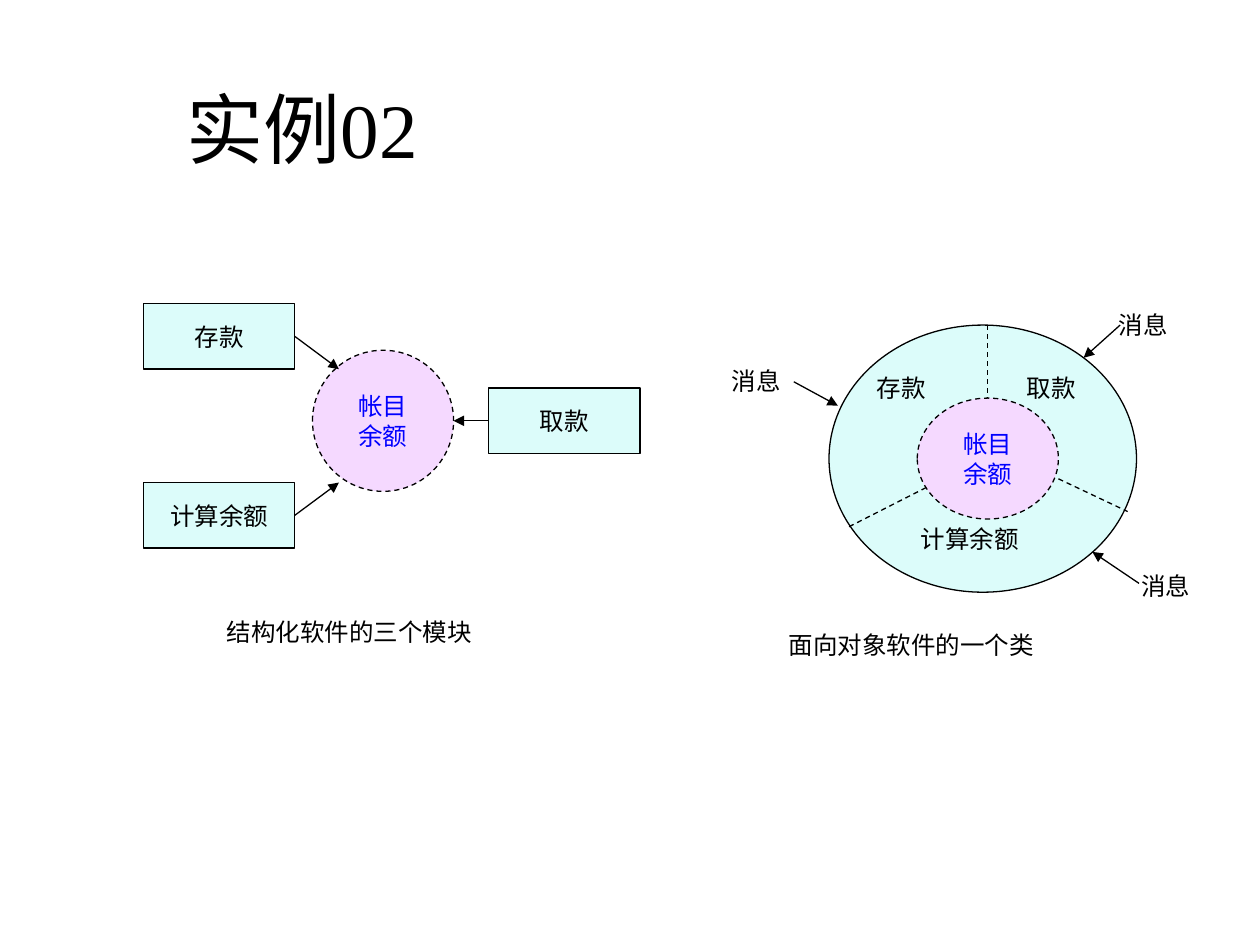
import pptx
import pptx.util
from lxml import etree
from pptx.dml.color import RGBColor
from pptx.enum.dml import MSO_LINE
from pptx.enum.shapes import MSO_CONNECTOR, MSO_SHAPE
from pptx.enum.text import MSO_ANCHOR, MSO_AUTO_SIZE, PP_ALIGN
from pptx.oxml.ns import qn
from pptx.util import Inches

SERIF, SANS = "Times New Roman", "Noto Sans CJK SC"
BLACK, BLUE, AQUA, LILAC = "000000", "0000FF", "DCFCFA", "F5D9FF"

TITLE = "实例02"
BALANCE = ["帐目", "余额"]

# module: left, top, side the arrow leaves from, arrow tip
MODULE_SIZE = (1.2, 0.52)
MODULES = [
    ("存款", 1.14, 2.41, 3, (2.69, 2.93)),
    ("计算余额", 1.14, 3.83, 3, (2.69, 3.83)),
    ("取款", 3.88, 3.08, 1, (3.6, 3.34)),
]
# text, left, top, width, font
LABELS = [
    ("结构化软件的三个模块", 1.7, 4.85, 2.15, SANS),
    ("面向对象软件的一个类", 6.16, 4.95, 2.15, SANS),
    ("存款", 6.86, 2.91, 0.59, SERIF),
    ("取款", 8.05, 2.91, 0.59, SERIF),
    ("计算余额", 7.21, 4.11, 0.98, SERIF),
    ("消息", 5.71, 2.86, 0.59, SERIF),
    ("消息", 8.78, 2.41, 0.59, SERIF),
    ("消息", 8.96, 4.48, 0.59, SERIF),
]
CLASS_DIVIDERS = [
    ((7.35, 3.87), (6.72, 4.19)),
    ((8.4, 3.8), (8.95, 4.06)),
    ((7.84, 2.58), (7.84, 3.16)),
]
MESSAGE_ARROWS = [
    ((6.3, 3.03), (6.65, 3.22)),
    ((8.89, 2.58), (8.6, 2.84)),
    ((9.04, 4.63), (8.67, 4.38)),
]


def rgb(color):
    return RGBColor.from_string(color)


def write(shape, lines, size=14, font=SERIF, color=BLACK, align=PP_ALIGN.LEFT,
          anchor=MSO_ANCHOR.TOP, wrap=False):
    tf = shape.text_frame
    tf.word_wrap = wrap
    tf.vertical_anchor = anchor
    for i, line in enumerate(lines):
        p = tf.paragraphs[0] if i == 0 else tf.add_paragraph()
        p.alignment = align
        r = p.add_run()
        r.text = line
        r.font.size = pptx.util.Pt(size)
        r.font.name = font
        r.font.color.rgb = rgb(color)
        etree.SubElement(r.font._element, qn("a:ea"), typeface=SANS)


def outline(line, dashed):
    line.color.rgb = rgb(BLACK)
    line.width = pptx.util.Pt(0.75)
    if dashed:
        line.dash_style = MSO_LINE.DASH


def add_box(s, kind, box, fill, lines=(), color=BLACK, dashed=False):
    sp = s.shapes.add_shape(kind, *map(Inches, box))
    sp.shadow.inherit = False
    sp.fill.solid()
    sp.fill.fore_color.rgb = rgb(fill)
    outline(sp.line, dashed)
    write(sp, lines, color=color, align=PP_ALIGN.CENTER, anchor=MSO_ANCHOR.MIDDLE)
    return sp


def add_line(s, start, end, dashed=False, arrow=False):
    c = s.shapes.add_connector(MSO_CONNECTOR.STRAIGHT, *map(Inches, start + end))
    outline(c.line, dashed)
    if arrow:
        etree.SubElement(c.line._get_or_add_ln(), qn("a:tailEnd"), type="triangle")
    etree.SubElement(c._element.spPr, qn("a:effectLst"))
    return c


def main():
    prs = pptx.Presentation()
    prs.slide_width, prs.slide_height = Inches(10), Inches(7.5)
    s = prs.slides.add_slide(prs.slide_layouts[5])

    title = s.shapes.title
    title.left, title.top = Inches(1.38), Inches(0.6)
    title.width, title.height = Inches(4.18), Inches(0.84)
    write(title, [TITLE], size=44, wrap=True)
    title.text_frame.auto_size = MSO_AUTO_SIZE.SHAPE_TO_FIT_TEXT

    add_box(s, MSO_SHAPE.OVAL, (2.48, 2.78, 1.12, 1.12), LILAC, BALANCE, BLUE, dashed=True)
    for text, left, top, side, tip in MODULES:
        module = add_box(s, MSO_SHAPE.RECTANGLE, (left, top) + MODULE_SIZE, AQUA, [text])
        add_line(s, (left, top), tip, arrow=True).begin_connect(module, side)

    add_box(s, MSO_SHAPE.OVAL, (6.58, 2.58, 2.44, 2.12), AQUA)
    add_box(s, MSO_SHAPE.OVAL, (7.28, 3.16, 1.12, 0.96), LILAC, BALANCE, BLUE, dashed=True)
    for start, end in CLASS_DIVIDERS:
        add_line(s, start, end, dashed=True)
    for start, end in MESSAGE_ARROWS:
        add_line(s, start, end, arrow=True)

    for text, left, top, width, font in LABELS:
        label = s.shapes.add_textbox(*map(Inches, (left, top, width, 0.34)))
        write(label, [text], font=font)
        label.text_frame.auto_size = MSO_AUTO_SIZE.SHAPE_TO_FIT_TEXT

    prs.save("out.pptx")


if __name__ == "__main__":
    main()
